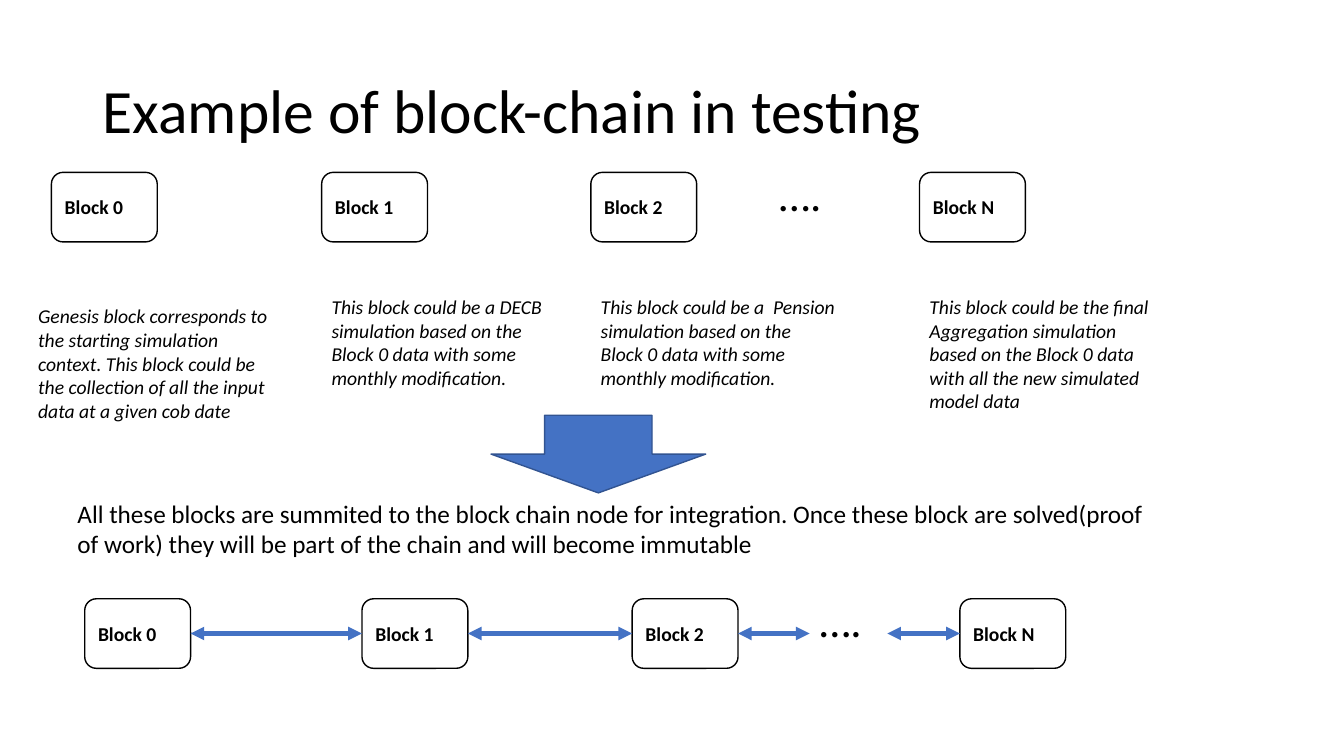
from dataclasses import dataclass
from lxml.etree import SubElement
from pptx import Presentation
from pptx.dml.color import RGBColor as RGB
from pptx.enum.shapes import MSO_CONNECTOR as Conn, MSO_SHAPE as Kind
from pptx.enum.text import MSO_ANCHOR as Anchor, PP_ALIGN as Align
from pptx.oxml.ns import qn
from pptx.util import Inches, Pt

BLACK, WHITE, BLUE, NAVY = "000000", "FFFFFF", "4472C4", "325491"
WIDE, HIGH = 1.05, 0.69
TOP, CHAIN = 1.71, 5.94


@dataclass
class Block:
    name: str
    left: float
    low: float
    note: str
    note_x: float
    note_y: float
    note_h: float


@dataclass
class Label:
    text: str
    left: float
    top: float
    width: float
    height: float
    size: int
    italic: bool = False
    anchor: Anchor = Anchor.TOP
    space: float = 1.0


BLOCKS = [
    Block("Block 0", 0.51, 0.84,
          "Genesis block corresponds to the starting simulation context. This block "
          "could be the collection of all the input data at a given cob date",
          0.28, 2.97, 1.28),
    Block("Block 1", 3.19, 3.59,
          "This block could be a DECB simulation based on the Block 0 data "
          "with some monthly modification.", 3.19, 2.88, 1.04),
    Block("Block 2", 5.86, 6.27,
          "This block could be a  Pension simulation based on the Block 0 data "
          "with some monthly modification.", 5.86, 2.88, 1.04),
    Block("Block N", 9.12, 9.52,
          "This block could be the final Aggregation simulation based on the Block 0 "
          "data with all the new simulated model data", 9.12, 2.88, 1.28),
]
LABELS = [
    Label("Example of block-chain in testing", 0.92, 0.4, 11.5, 1.45, 44,
          anchor=Anchor.MIDDLE, space=0.9),
    Label("….", 7.63, 1.6, 1.53, 0.64, 32),
    Label("….", 8.03, 5.83, 1.53, 0.64, 32),
    Label("All these blocks are summited to the block chain node for integration. "
          "Once these block are solved(proof of work) they will be part of the chain "
          "and will become immutable", 0.67, 4.89, 10.98, 0.71, 18),
]


def tint(code: str) -> RGB:
    return RGB.from_string(code)


def write(shape, text: str, size: int, bold: bool = False, italic: bool = False,
          anchor: Anchor = Anchor.MIDDLE, space: float = 1.0) -> None:
    frame = shape.text_frame
    frame.text = text
    frame.word_wrap = True
    frame.vertical_anchor = anchor
    para = frame.paragraphs[0]
    para.alignment = Align.LEFT
    para.line_spacing = space
    font = para.runs[0].font
    font.name, font.size = "Calibri", Pt(size)
    font.bold, font.italic = bold, italic
    font.color.rgb = tint(BLACK)


def add_label(label: Label) -> None:
    box = shapes.add_textbox(Inches(label.left), Inches(label.top),
                             Inches(label.width), Inches(label.height))
    write(box, label.text, label.size, italic=label.italic,
          anchor=label.anchor, space=label.space)


def add_form(kind: Kind, left: float, top: float, width: float, height: float,
             fill: str, edge: str):
    form = shapes.add_shape(kind, Inches(left), Inches(top),
                            Inches(width), Inches(height))
    form.shadow.inherit = False
    form.fill.solid()
    form.fill.fore_color.rgb = tint(fill)
    form.line.color.rgb = tint(edge)
    form.line.width = Pt(1)
    return form


def add_block(name: str, left: float, top: float) -> None:
    form = add_form(Kind.ROUNDED_RECTANGLE, left, top, WIDE, HIGH, WHITE, BLACK)
    write(form, name, 14, bold=True)


def add_link(start: float, end: float) -> None:
    mid = Inches(CHAIN + HIGH / 2)
    link = shapes.add_connector(Conn.STRAIGHT, Inches(start), mid, Inches(end), mid)
    link.line.color.rgb = tint(BLUE)
    link.line.width = Pt(3.25)
    line = link.line._get_or_add_ln()
    for tag in ("a:headEnd", "a:tailEnd"):
        SubElement(line, qn(tag)).set("type", "triangle")
    SubElement(link._element.spPr, qn("a:effectLst"))


deck = Presentation()
deck.slide_width, deck.slide_height = Inches(13.33), Inches(7.5)
shapes = deck.slides.add_slide(deck.slide_layouts[6]).shapes

for label in LABELS:
    add_label(label)
for block in BLOCKS:
    add_block(block.name, block.left, TOP)
    add_block(block.name, block.low, CHAIN)
    add_label(Label(block.note, block.note_x, block.note_y, 2.53, block.note_h,
                    14, italic=True))
add_form(Kind.DOWN_ARROW, 4.87, 4.12, 2.13, 0.77, BLUE, NAVY)

zero, one, two, last = [block.low for block in BLOCKS]
for start, end in [(zero + WIDE, one), (one + WIDE, two),
                   (two + WIDE, 8.03), (8.8, last)]:
    add_link(start, end)

deck.save("out.pptx")
